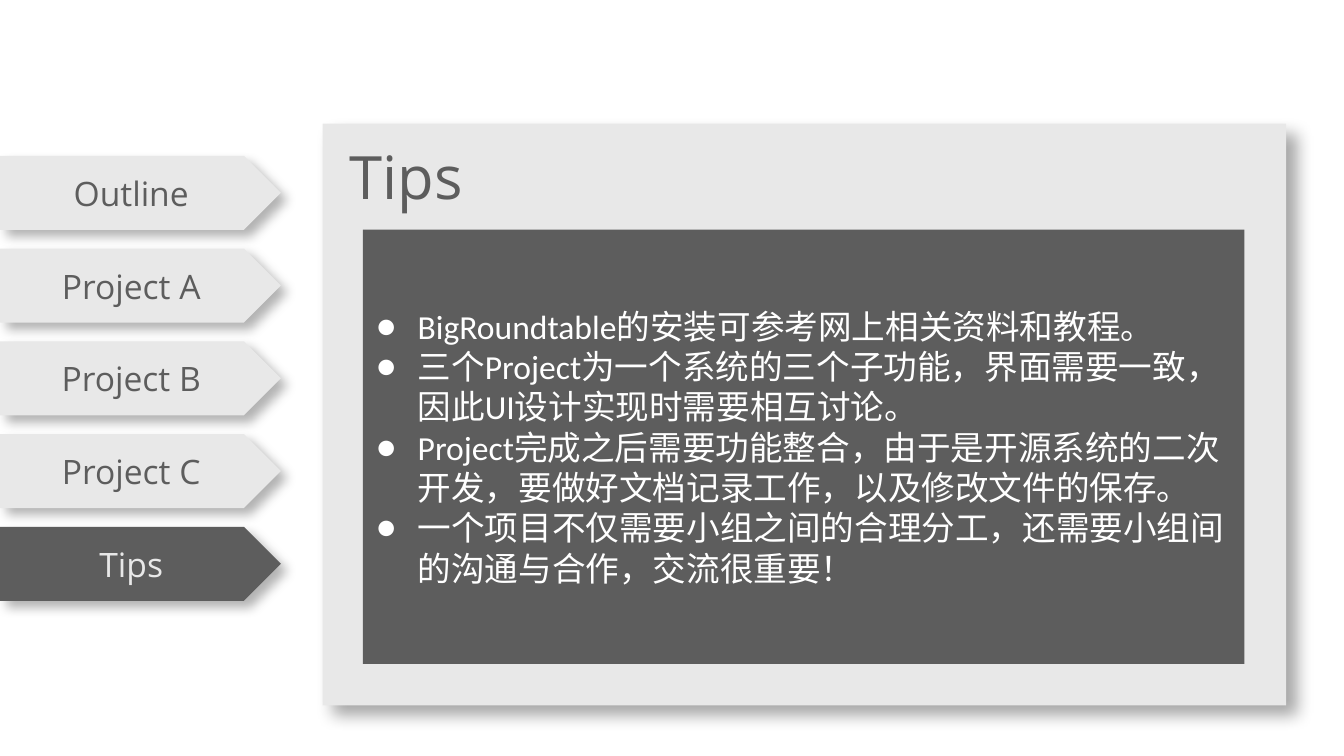
from lxml import etree
from pptx import Presentation
from pptx.dml.color import RGBColor
from pptx.enum.shapes import MSO_SHAPE
from pptx.enum.text import MSO_ANCHOR, MSO_AUTO_SIZE, PP_ALIGN
from pptx.oxml.ns import qn
from pptx.util import Inches, Pt

RECTANGLE, PENTAGON = MSO_SHAPE.RECTANGLE, MSO_SHAPE.PENTAGON
TOP, MIDDLE = MSO_ANCHOR.TOP, MSO_ANCHOR.MIDDLE
LEFT, CENTER = PP_ALIGN.LEFT, PP_ALIGN.CENTER
NO_AUTOFIT = MSO_AUTO_SIZE.NONE

LIGHT = RGBColor(0xE8, 0xE8, 0xE8)
DARK = RGBColor(0x5D, 0x5D, 0x5D)
WHITE = RGBColor(0xFF, 0xFF, 0xFF)
HEADING_FONT, BODY_FONT = "Open Sans", "Calibri"

TITLE = "Tips"
TABS = ["Outline", "Project A", "Project B", "Project C", "Tips"]
TIPS = [
    "BigRoundtable的安装可参考网上相关资料和教程。",
    "三个Project为一个系统的三个子功能，界面需要一致，因此UI设计实现时需要相互讨论。",
    "Project完成之后需要功能整合，由于是开源系统的二次开发，要做好文档记录工作，以及修改文件的保存。",
    "一个项目不仅需要小组之间的合理分工，还需要小组间的沟通与合作，交流很重要！",
]
TAB_TOP, TAB_PITCH = 1.16, 0.69
BULLET_INDENT = Inches(0.31)


def add_block(page, kind, box, color):
    shape = page.shapes.add_shape(kind, *map(Inches, box))
    shape.fill.solid()
    shape.fill.fore_color.rgb = color
    shape.line.fill.background()
    shape.shadow.inherit = False
    shape.text_frame.word_wrap = True
    shape.text_frame.vertical_anchor = MIDDLE
    return shape


def add_shadow(shape, opacity, blur, distance):
    effects = shape.element.spPr.find(qn("a:effectLst"))
    shadow = etree.SubElement(
        effects, qn("a:outerShdw"), blurRad=str(Pt(blur)), dist=str(Pt(distance)),
        dir=str(45 * 60000), algn="tl", rotWithShape="0")
    color = etree.SubElement(shadow, qn("a:srgbClr"), val="000000")
    etree.SubElement(color, qn("a:alpha"), val=str(opacity * 1000))


def write(para, text, size, font, color, align):
    para.alignment = align
    span = para.add_run()
    span.text = text
    span.font.size = Pt(size)
    span.font.name = font
    span.font.color.rgb = color


def add_bullet(para):
    props = para._p.get_or_add_pPr()
    props.set("marL", str(BULLET_INDENT))
    props.set("indent", str(-BULLET_INDENT))
    props.set("hangingPunct", "0")
    etree.SubElement(props, qn("a:buFont"), typeface=BODY_FONT)
    etree.SubElement(props, qn("a:buChar"), char="●")


deck = Presentation()
deck.slide_width = Inches(10)
deck.slide_height = deck.slide_width * 9 // 16
page = deck.slides.add_slide(deck.slide_layouts[5])

panel = add_block(page, RECTANGLE, (2.4, 0.92, 7.17, 4.33), LIGHT)
add_shadow(panel, 35, 9, 8)

tips_box = add_block(page, RECTANGLE, (2.7, 1.71, 6.56, 3.23), DARK)
frame = tips_box.text_frame
for index, tip in enumerate(TIPS):
    para = frame.add_paragraph() if index else frame.paragraphs[0]
    write(para, tip, 18, BODY_FONT, WHITE, LEFT)
    add_bullet(para)

title = page.shapes.title
title.left, title.top = Inches(2.5), Inches(0.99)
title.width, title.height = Inches(2.9), Inches(0.64)
title.text_frame.auto_size = NO_AUTOFIT
title.text_frame.vertical_anchor = TOP
write(title.text_frame.paragraphs[0], TITLE, 32, HEADING_FONT, DARK, LEFT)
tips_box.element.addnext(title.element)

for index, name in enumerate(TABS):
    fill, ink = (DARK, LIGHT) if name == TITLE else (LIGHT, DARK)
    tab = add_block(page, PENTAGON, (0, TAB_TOP + index * TAB_PITCH, 2.09, 0.55), fill)
    add_shadow(tab, 30, 6, 5)
    write(tab.text_frame.paragraphs[0], name, 18, HEADING_FONT, ink, CENTER)

deck.save("out.pptx")
